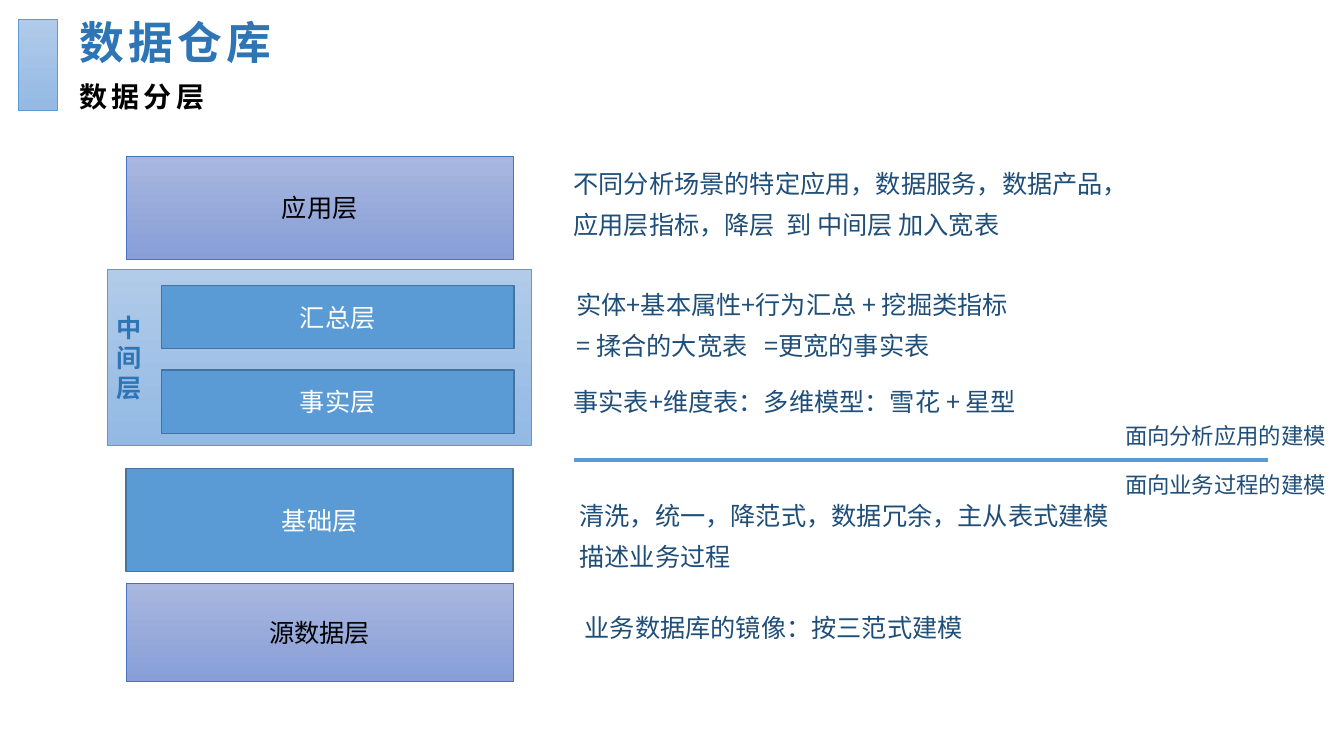
from lxml.etree import SubElement
from pptx import Presentation
from pptx.dml.color import RGBColor
from pptx.enum.shapes import MSO_CONNECTOR, MSO_SHAPE
from pptx.enum.text import MSO_ANCHOR, PP_ALIGN
from pptx.oxml.ns import qn
from pptx.util import Inches, Pt

COLORS = {
    "blue": "5B9BD5", "blue_edge": "43739E", "violet_edge": "4472C4",
    "heading": "2E75B6", "note": "1F4E79", "black": "000000", "white": "FFFFFF",
    "sky_top": "B1CBE9", "sky_bottom": "93B9E4",
    "violet_top": "A8B7DF", "violet_bottom": "889ED7",
}
# Box styles: fill colours from top to bottom, edge colour, edge width, text colour
BOX_STYLES = {
    "solid": (["blue"], "blue_edge", 1, "white"),
    "sky": (["sky_top", "sky_bottom"], "blue", 0.5, "heading"),
    "violet": (["violet_top", "violet_bottom"], "violet_edge", 0.5, "black"),
}
CJK_FONT, LATIN_FONT = "Noto Sans CJK SC", "Calibri"


def rgb(name):
    return RGBColor.from_string(COLORS[name])


class LayerSlide:
    """One slide on a grid whose columns and rows are a tenth of an inch."""

    CELL = Inches(0.1)

    def __init__(self, deck):
        self.slide = deck.slides.add_slide(deck.slide_layouts[5])
        self.shapes = self.slide.shapes

    def cells(self, *counts):
        return [round(count * self.CELL) for count in counts]

    def set_text(self, frame, lines, size, color, font=CJK_FONT, bold=False,
                 align=PP_ALIGN.LEFT, anchor=MSO_ANCHOR.TOP, tracking=0, note=False):
        frame.word_wrap = True
        frame.vertical_anchor = anchor
        frame.text = "\n".join(lines)
        for paragraph in frame.paragraphs:
            paragraph.alignment = align
            if note:
                paragraph.line_spacing = 0.9
                paragraph.space_before = Pt(10)
            paragraph.font.name = font
            paragraph.font.size = Pt(size)
            paragraph.font.bold = bold
            paragraph.font.color.rgb = rgb(color)
            properties = paragraph._p.get_or_add_pPr().get_or_add_defRPr()
            properties.set("spc", str(tracking * 100))
            if font == CJK_FONT:
                SubElement(properties, qn("a:ea"), typeface=font)

    def title(self, place, text):
        heading = self.shapes.title
        heading.left, heading.top, heading.width, heading.height = self.cells(*place)
        self.set_text(heading.text_frame, [text], 32, "heading", bold=True, tracking=3)

    def text(self, place, lines, size=18, color="note", **style):
        box = self.shapes.add_textbox(*self.cells(*place))
        self.set_text(box.text_frame, lines, size, color, **style)

    def box(self, place, style, lines=(), **text_style):
        fills, edge, edge_width, text_color = BOX_STYLES[style]
        box = self.shapes.add_shape(MSO_SHAPE.RECTANGLE, *self.cells(*place))
        box.shadow.inherit = False
        if len(fills) == 1:
            box.fill.solid()
            box.fill.fore_color.rgb = rgb(fills[0])
        else:
            box.fill.gradient()
            box.fill.gradient_angle = 270
            for stop, color in zip(box.fill.gradient_stops, fills):
                stop.color.rgb = rgb(color)
        box.line.color.rgb = rgb(edge)
        box.line.width = Pt(edge_width)
        if lines:
            self.set_text(box.text_frame, lines, 18, text_color, font=LATIN_FONT,
                          anchor=MSO_ANCHOR.MIDDLE, **text_style)

    def divider(self, left, right, row):
        line = self.shapes.add_connector(
            MSO_CONNECTOR.STRAIGHT, *self.cells(left, row, right, row))
        line.line.color.rgb = rgb("blue")
        line.line.width = Pt(3)
        SubElement(line._element.spPr, qn("a:effectLst"))


def main():
    deck = Presentation()
    deck.slide_width, deck.slide_height = Inches(13.33), Inches(7.5)
    page = LayerSlide(deck)

    # Heading
    page.title((6.9, 1, 60.8, 6.4), "数据仓库")
    page.text((6.9, 7.4, 50.2, 4.4), ["数据分层"], 20, "black", bold=True, tracking=3)
    page.box((1.8, 1.9, 3.9, 9.1), "sky")

    # Layers on the left, the middle layer holding two of its own
    for layer, top, height, style in [
        ("应用层", 15.5, 10.2, "violet"),
        ("基础层", 46.5, 10.2, "solid"),
        ("源数据层", 57.9, 9.7, "violet"),
    ]:
        page.box((12.5, top, 38.4, height), style, [layer], align=PP_ALIGN.CENTER)
    page.box((10.6, 26.7, 42.1, 17.5), "sky", list("中间层"), bold=True)
    for index, layer in enumerate(["汇总层", "事实层"]):
        page.box((16, 28.3 + 8.4 * index, 35, 6.3), "solid", [layer],
                 align=PP_ALIGN.CENTER)

    # What each layer holds
    for place, lines in [
        ((55.9, 16.5, 66.7, 8.2), ["不同分析场景的特定应用，数据服务，数据产品，",
                                   "应用层指标，降层  到 中间层 加入宽表"]),
        ((56.2, 28.5, 66.7, 8.2), ["实体+基本属性+行为汇总 + 挖掘类指标",
                                   "= 揉合的大宽表   =更宽的事实表"]),
        ((55.9, 38.2, 52, 6), ["事实表+维度表：多维模型：雪花 + 星型"]),
        ((56.5, 49.5, 62, 7.2), ["清洗，统一，降范式，数据冗余，主从表式建模",
                                 "描述业务过程"]),
        ((57, 60.6, 48, 3.8), ["业务数据库的镜像：按三范式建模"]),
    ]:
        page.text(place, lines, note=True)

    # Divide between the two kinds of modelling
    page.divider(56.9, 125.8, 45.6)
    for top, modelling in [(41.7, "面向分析应用的建模"), (46.6, "面向业务过程的建模")]:
        page.text((110.6, top, 22.7, 3.7), [modelling], 16, note=True)

    deck.save("out.pptx")


if __name__ == "__main__":
    main()
